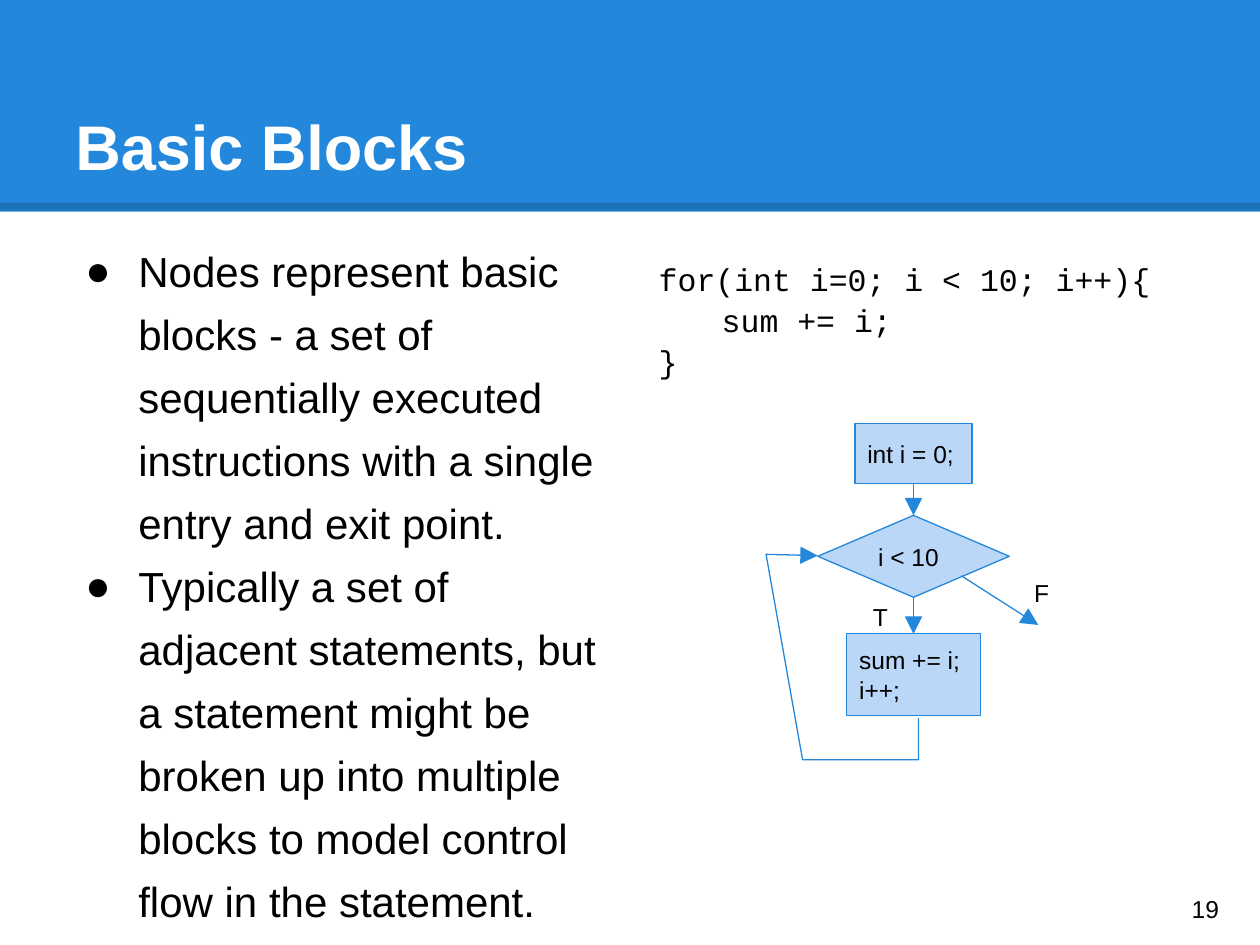
from lxml.etree import SubElement as Sub
from pptx import Presentation
from pptx.dml.color import RGBColor as Rgb
from pptx.enum.shapes import MSO_CONNECTOR as Conn, MSO_SHAPE as Kind
from pptx.enum.text import MSO_ANCHOR as Anchor, PP_ALIGN as Align
from pptx.oxml.ns import qn
from pptx.util import Inches, Pt

COLORS = {"blue": "2388DB", "pale": "BBD7F8", "black": "000000", "white": "FFFFFF"}
POINTS = [
    "Nodes represent basic blocks - a set of sequentially executed "
    "instructions with a single entry and exit point.",
    "Typically a set of adjacent statements, but a statement might be broken "
    "up into multiple blocks to model control flow in the statement.",
]
CODE = ["for(int i=0; i < 10; i++){", "\tsum += i;", "}"]


def color(name):
    """Return the named colour."""
    return Rgb.from_string(COLORS[name])


def write(shape, lines, size=14, font="Arial", ink="black", bold=False,
          anchor=Anchor.TOP, space=None):
    """Fill a shape with left-aligned lines of text."""
    frame = shape.text_frame
    frame.word_wrap = True
    frame.vertical_anchor = anchor
    frame.margin_left = frame.margin_right = Inches(0.1)
    frame.margin_top = frame.margin_bottom = Inches(0.1)
    frame.text = "\n".join(lines)
    for para in frame.paragraphs:
        para.alignment = Align.LEFT
        if space:
            para.line_spacing = space
        for run in para.runs:
            run.font.size, run.font.name, run.font.bold = Pt(size), font, bold
            run.font.color.rgb = color(ink)
    return frame


def label(slide, box, lines, **style):
    """Add a text box."""
    return write(slide.shapes.add_textbox(*map(Inches, box)), lines, **style)


def stroke(shape, tone="blue", width=0.75, arrow=False, alpha=None):
    """Style an outline, with an optional arrowhead and opacity."""
    shape.line.color.rgb = color(tone)
    shape.line.width = Pt(width)
    line = shape.line._get_or_add_ln()
    if alpha:
        Sub(line.find(".//" + qn("a:srgbClr")), qn("a:alpha"), val=str(alpha * 1000))
    if arrow:
        Sub(line, qn("a:tailEnd"), type="triangle", w="lg", len="lg")


def link(slide, start, end, **style):
    """Add a straight line between two points."""
    line = slide.shapes.add_connector(Conn.STRAIGHT, *map(Inches, start + end))
    stroke(line, **style)
    Sub(line._element.spPr, qn("a:effectLst"))


def block(slide, kind, box, fill):
    """Add a filled shape without an outline."""
    shape = slide.shapes.add_shape(kind, *map(Inches, box))
    shape.shadow.inherit = False
    shape.fill.solid()
    shape.fill.fore_color.rgb = color(fill)
    shape.line.fill.background()
    return shape


def header(slide, box, title):
    """Draw the title band with its darker lower edge."""
    x, y, w, h = box
    block(slide, Kind.RECTANGLE, box, "blue")
    edge = y + h - 0.04
    link(slide, (x, edge), (x + w, edge), tone="black", width=4.5, alpha=15)
    label(slide, (x + 0.5, y + 0.3, w - 1, 1.25), [title], size=36,
          ink="white", bold=True, anchor=Anchor.BOTTOM)


def bullets(slide, box, lines):
    """Add the bulleted list."""
    frame = label(slide, box, lines, size=24, space=1.25)
    for para in frame.paragraphs:
        props = para._p.get_or_add_pPr()
        props.set("marL", str(Inches(0.5)))
        props.set("indent", str(Inches(-0.42)))
        tint = Sub(props, qn("a:buClr"))
        Sub(tint, qn("a:srgbClr"), val=COLORS["black"])
        Sub(props, qn("a:buFont"), typeface="Arial")
        Sub(props, qn("a:buChar"), char="●")


def flow(slide, box):
    """Draw the flow chart of the loop."""
    x, y, w, h = box
    mid = x + 1.17
    nodes = [
        (Kind.RECTANGLE, 0, 0.93, 0.48, ["int i = 0;"]),
        (Kind.DIAMOND, 0.73, 1.52, 0.65, ["i < 10"]),
        (Kind.RECTANGLE, 1.67, 1.06, 0.65, ["sum += i;", "i++;"]),
    ]
    for kind, top, wide, high, lines in nodes:
        node = block(slide, kind, (mid - wide / 2, y + top, wide, high), "pale")
        stroke(node)
        write(node, lines, anchor=Anchor.MIDDLE)
    for above, below in zip(nodes, nodes[1:]):
        link(slide, (mid, y + above[1] + above[3]), (mid, y + below[1]), arrow=True)
    link(slide, (mid + 0.38, y + 1.21), (mid + 0.99, y + 1.6), arrow=True)
    label(slide, (x + 2.03, y + 1.13, 0.49, 0.25), ["F"])
    label(slide, (x + 0.75, y + 1.32, 0.3, 0.3), ["T"])
    spots = [(1.21, 2.34), (1.21, h), (0.29, h), (0, 1.04), (0.41, 1.05)]
    path = [(Inches(x + dx), Inches(y + dy)) for dx, dy in spots]
    maker = slide.shapes.build_freeform(*path[0])
    maker.add_line_segments(path[1:], close=False)
    loop = maker.convert_to_shape()
    loop.shadow.inherit = False
    loop.fill.background()
    stroke(loop, arrow=True)


def main():
    """Build and save the slide."""
    deck = Presentation()
    deck.slide_width, deck.slide_height = Inches(10), Inches(7.5)
    slide = deck.slides.add_slide(deck.slide_layouts[6])
    header(slide, (0, 0, 10, 1.68), "Basic Blocks")
    bullets(slide, (0.5, 1.75, 4.37, 5.43), POINTS)
    label(slide, (5.13, 1.94, 4.37, 1.51), CODE, size=18, font="Courier New",
          space=1.08)
    flow(slide, (6.08, 3.36, 2.52, 2.67))
    label(slide, (9.36, 6.93, 0.6, 0.57), ["19"], anchor=Anchor.MIDDLE)
    deck.save("out.pptx")


main()
